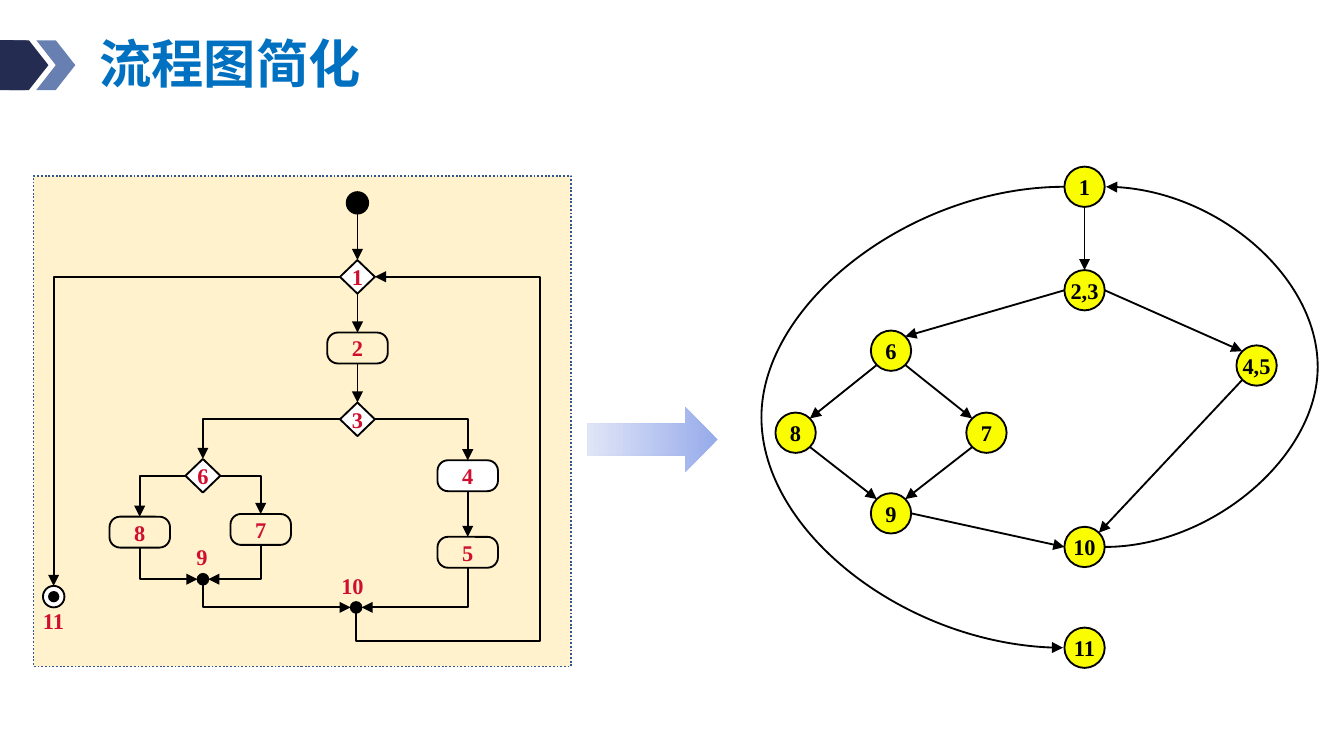
from pptx import Presentation
from pptx.dml.color import RGBColor
from pptx.enum.dml import MSO_LINE
from pptx.enum.shapes import MSO_CONNECTOR, MSO_SHAPE
from pptx.enum.text import MSO_ANCHOR, PP_ALIGN
from pptx.oxml.ns import qn
from pptx.util import Inches, Pt
from lxml import etree

OVAL, DIAMOND, RECT = MSO_SHAPE.OVAL, MSO_SHAPE.DIAMOND, MSO_SHAPE.RECTANGLE
ROUNDED, CHEVRON, ARROW = MSO_SHAPE.ROUNDED_RECTANGLE, MSO_SHAPE.CHEVRON, MSO_SHAPE.RIGHT_ARROW
STRAIGHT, ELBOW, CURVE = MSO_CONNECTOR.STRAIGHT, MSO_CONNECTOR.ELBOW, MSO_CONNECTOR.CURVE
MIDDLE, TOP = MSO_ANCHOR.MIDDLE, MSO_ANCHOR.TOP
CENTER, LEFT = PP_ALIGN.CENTER, PP_ALIGN.LEFT
DOTTED = MSO_LINE.ROUND_DOT

COLORS = {
    "navy": "242C52", "steel": "6880B1", "title": "0070C0", "node": "FAFD00",
    "black": "000000", "white": "FFFFFF", "panel": "FFF2CC", "border": "325491",
    "red": "CF0E30", "arrow_dark": "96ABEA", "arrow_light": "E0E5F7",
}
TITLE_FONT, NUMBER_FONT = "Noto Sans CJK SC", "Times New Roman"
# Unit steps from a centre to a port on the outline
SIDES = {"n": (0, -1), "s": (0, 1), "w": (-1, 0), "e": (1, 0),
         "nw": (-0.71, -0.71), "ne": (0.71, -0.71),
         "sw": (-0.71, 0.71), "se": (0.71, 0.71)}


def rgb(name):
    return RGBColor.from_string(COLORS[name])


def write(box, text, color, size=12, font=NUMBER_FONT, align=CENTER, anchor=MIDDLE, wrap=False):
    frame = box.text_frame
    frame.word_wrap = wrap
    frame.vertical_anchor = anchor
    frame.margin_left = frame.margin_right = Inches(0.07)
    frame.margin_top = frame.margin_bottom = Inches(0.04)
    para = frame.paragraphs[0]
    para.text, para.alignment = text, align
    para.font.name, para.font.size, para.font.bold = font, Pt(size), True
    para.font.color.rgb = rgb(color)
    return para


def add_block(page, kind, left, top, width, height, fill=None, line=None):
    block = page.shapes.add_shape(kind, Inches(left), Inches(top), Inches(width), Inches(height))
    block.shadow.inherit = False
    if fill:
        block.fill.solid()
        block.fill.fore_color.rgb = rgb(fill)
    else:
        block.fill.background()
    if line:
        block.line.color.rgb = rgb(line)
        block.line.width = Pt(1)
    else:
        block.line.fill.background()
    return block


def add_label(page, left, top, width, text):
    label = page.shapes.add_textbox(Inches(left), Inches(top), Inches(width), Inches(0.3))
    write(label, text, "red", align=LEFT, anchor=TOP, wrap=True)


def add_link(page, kind, start, end, preset=None, adjusts=(), arrow="tailEnd"):
    link = page.shapes.add_connector(kind, *(Inches(v) for v in (*start, *end)))
    link.line.color.rgb = rgb("black")
    link.line.width = Pt(1)
    etree.SubElement(link.line._get_or_add_ln(), qn("a:" + arrow), type="triangle")
    props = link._element.spPr
    etree.SubElement(props, qn("a:effectLst"))
    geometry = props.find(qn("a:prstGeom"))
    if preset:
        geometry.set("prst", preset)
    guides = geometry.find(qn("a:avLst"))
    for number, value in enumerate(adjusts, 1):
        etree.SubElement(guides, qn("a:gd"), name=f"adj{number}",
                         fmla=f"val {round(value * 100000)}")


def port(part, side):
    x, y, half_w, half_h = part
    step_x, step_y = SIDES[side]
    return x + step_x * half_w, y + step_y * half_h


def add_header(page, left, top):
    # Chevron mark running in from the slide edge
    bar = add_block(page, ROUNDED, left - 0.13, top + 0.07, 0.35, 0.37, "navy")
    bar.adjustments[0] = 0.1
    for offset, color in ((0.27, "steel"), (0.07, "navy")):
        add_block(page, CHEVRON, left + offset, top + 0.07, 0.29, 0.37, color)
    # Title
    title = page.shapes.add_textbox(Inches(left + 0.67), Inches(top), Inches(2.38), Inches(0.53))
    para = write(title, "流程图简化", "title", 28, TITLE_FONT, LEFT, wrap=True)
    para.line_spacing = 0.9
    span = para.runs[0].font._element
    etree.SubElement(span, qn("a:ea"), typeface=TITLE_FONT)


def add_flowchart(page, left, top):
    panel = add_block(page, RECT, left, top, 4, 3.65, "panel", "border")
    panel.line.dash_style = DOTTED

    # Name: kind, centre x, centre y, width, height, fill, shown number
    diamond, step = (0.26, 0.25), (0.45, 0.23)
    specs = {
        "start": (OVAL, 2.41, 0.2, 0.16, 0.16, "black", ""),
        "1": (DIAMOND, 2.41, 0.75, *diamond, "white", "1"),
        "2": (ROUNDED, 2.41, 1.28, *step, None, "2"),
        "3": (DIAMOND, 2.41, 1.81, *diamond, "white", "3"),
        "4": (ROUNDED, 3.23, 2.23, *step, "white", "4"),
        "5": (ROUNDED, 3.23, 2.8, *step, None, "5"),
        "6": (DIAMOND, 1.26, 2.23, *diamond, "white", "6"),
        "7": (ROUNDED, 1.69, 2.63, *step, None, "7"),
        "8": (ROUNDED, 0.79, 2.65, *step, None, "8"),
        "9": (OVAL, 1.26, 3, 0.08, 0.08, "black", ""),
        "10": (OVAL, 2.4, 3.21, 0.08, 0.08, "black", ""),
        "11": (OVAL, 0.15, 3.13, 0.16, 0.16, "white", ""),
        "end dot": (OVAL, 0.15, 3.13, 0.07, 0.07, "black", ""),
    }
    parts = {}
    for name, (kind, x, y, width, height, fill, number) in specs.items():
        x, y = left + x, top + y
        parts[name] = (x, y, width / 2, height / 2)
        block = add_block(page, kind, x - width / 2, y - height / 2, width, height, fill, "black")
        if kind == ROUNDED:
            block.adjustments[0] = 0.34
        if number:
            write(block, number, "red")

    # Numbers beside the joins and the end
    for x, y, width, number in ((1.14, 2.69, 0.25, "9"), (2.22, 2.91, 0.34, "10"),
                                (0, 3.17, 0.33, "11")):
        add_label(page, left + x, top + y, width, number)

    # Straight steps down
    for source, target in (("start", "1"), ("1", "2"), ("2", "3"), ("4", "5")):
        add_link(page, STRAIGHT, port(parts[source], "s"), port(parts[target], "n"))

    # Branches leave sideways; joins are drawn back from their sideways entry
    for source, side, target in (("1", "w", "11"), ("3", "w", "6"), ("3", "e", "4"),
                                 ("6", "w", "8"), ("6", "e", "7")):
        add_link(page, ELBOW, port(parts[source], side), port(parts[target], "n"),
                 "bentConnector2")
    for source, target, side in (("8", "9", "w"), ("7", "9", "e"),
                                 ("9", "10", "w"), ("5", "10", "e")):
        add_link(page, ELBOW, port(parts[target], side), port(parts[source], "s"),
                 "bentConnector2", arrow="headEnd")

    # Loop from 10 under and up the right side to 1
    (x1, y1), (x2, y2) = port(parts["1"], "e"), port(parts["10"], "s")
    bends = ((left + 3.77 - x1) / (x2 - x1), (top + 3.46 - y1) / (y2 - y1))
    add_link(page, ELBOW, (x1, y1), (x2, y2), "bentConnector4", bends, "headEnd")


def add_flow_graph(page, left, top):
    radius = 0.15
    centers = {"1": (2.63, 0.15), "2,3": (2.63, 0.92), "8": (0.48, 1.98), "7": (1.9, 1.98),
               "6": (1.19, 1.37), "9": (1.19, 2.58), "4,5": (3.91, 1.48),
               "10": (2.63, 2.83), "11": (2.63, 3.58)}
    nodes = {}
    for name, (x, y) in centers.items():
        x, y = left + x, top + y
        nodes[name] = (x, y, radius, radius)
        node = add_block(page, OVAL, x - radius, y - radius, 2 * radius, 2 * radius,
                         "node", "black")
        write(node, name, "black")

    # Outer curves: the ends stay a hair apart so the bulge can be a share of the width
    gap = 0.01
    for source, target, side, bulge in (("10", "1", "e", 1.61), ("1", "11", "w", 2.29)):
        start, (x, y) = port(nodes[source], side), port(nodes[target], side)
        add_link(page, CURVE, start, (x + SIDES[side][0] * gap, y), adjusts=(bulge / gap,))

    # Straight edges
    for source, leave, target, enter in (
            ("2,3", "e", "4,5", "nw"), ("1", "s", "2,3", "n"), ("2,3", "w", "6", "ne"),
            ("6", "se", "7", "nw"), ("6", "sw", "8", "ne"), ("8", "se", "9", "nw"),
            ("7", "sw", "9", "ne"), ("9", "e", "10", "w"), ("4,5", "sw", "10", "ne")):
        add_link(page, STRAIGHT, port(nodes[source], leave), port(nodes[target], enter))


def add_transition(page, left, top):
    arrow = add_block(page, ARROW, left, top, 0.97, 0.48)
    arrow.fill.gradient()
    arrow.fill.gradient_angle = 180
    for stop, color in zip(arrow.fill.gradient_stops, ("arrow_dark", "arrow_light")):
        stop.color.rgb = rgb(color)


def main():
    deck = Presentation()
    deck.slide_width = Inches(10)
    deck.slide_height = deck.slide_width * 9 // 16
    page = deck.slides.add_slide(deck.slide_layouts[6])
    add_header(page, 0, 0.23)
    add_flow_graph(page, 5.44, 1.24)
    add_flowchart(page, 0.25, 1.31)
    add_transition(page, 4.37, 3.03)
    deck.save("out.pptx")


if __name__ == "__main__":
    main()
